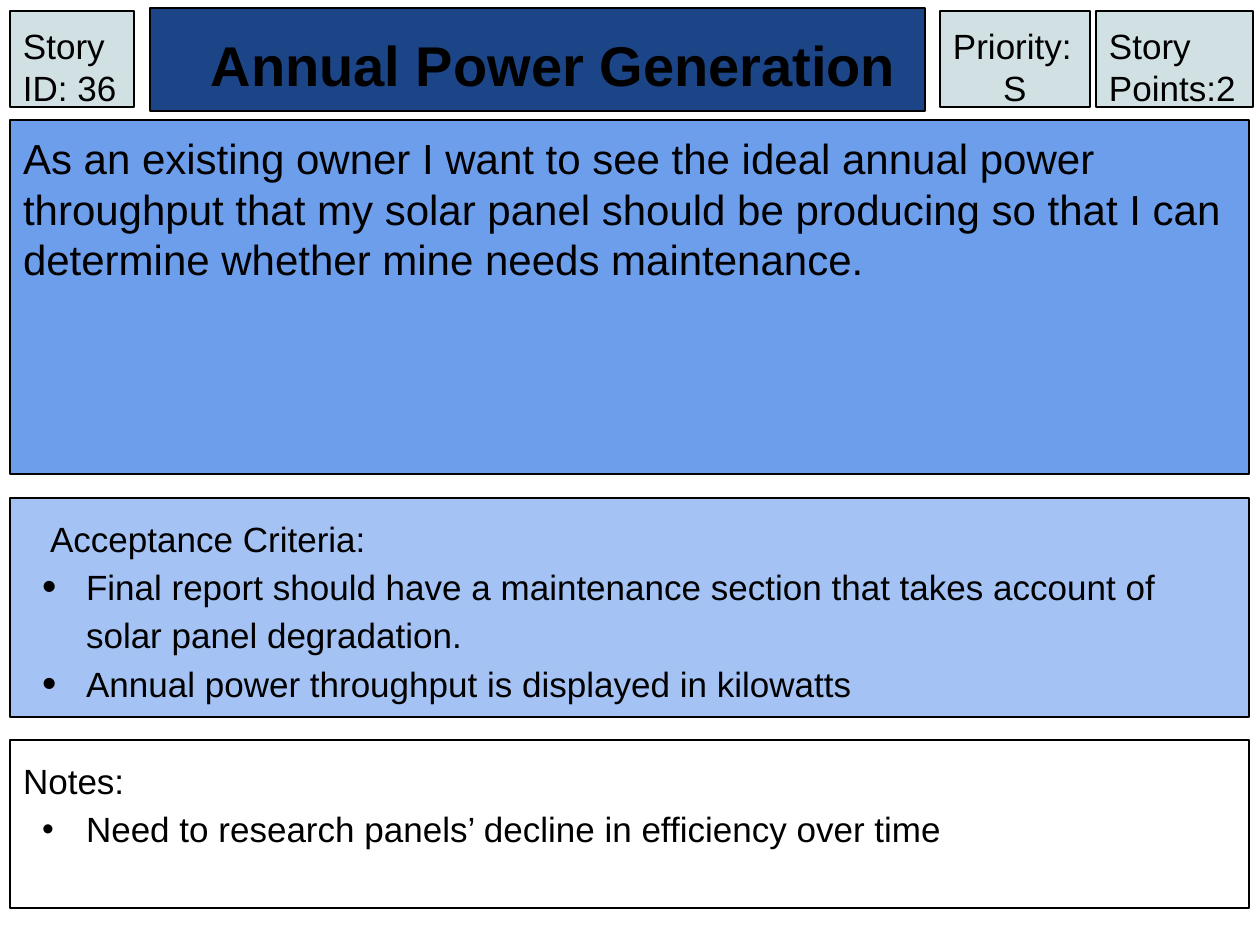
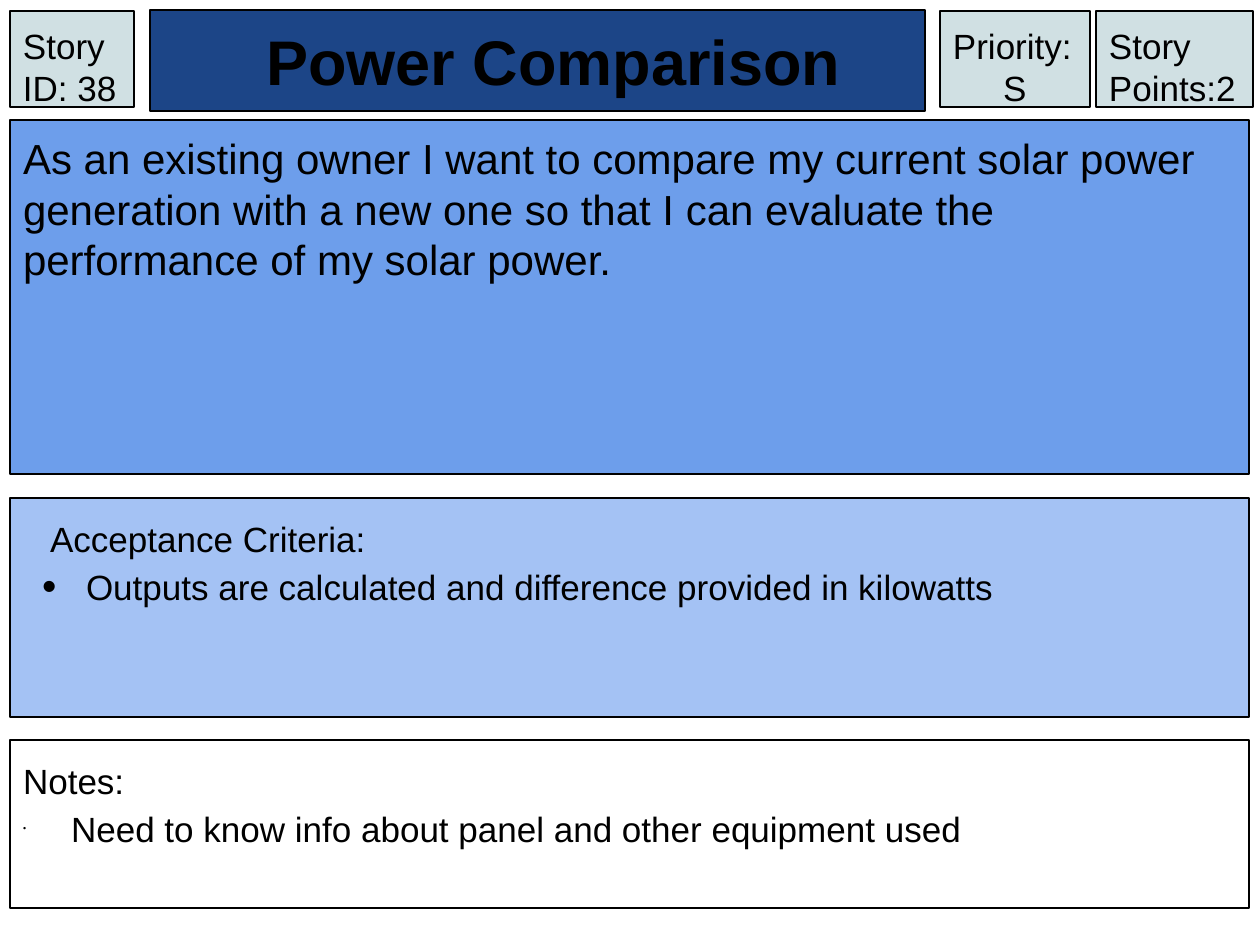
import pptx
import pptx.dml.color
import pptx.enum.shapes
import pptx.enum.text
import pptx.oxml.ns
import pptx.util
import lxml.etree

PX = 914400 / 126
INSET = 13
BLACK = "000000"
TITLE_FILL = "1C4587"
STORY_FILL = "6D9EEB"
CRITERIA_FILL = "A4C2F4"
BADGE_FILL = "D0E0E3"
CENTER = pptx.enum.text.PP_ALIGN.CENTER
BOTTOM = pptx.enum.text.MSO_ANCHOR.BOTTOM
PANEL_LEFT, PANEL_WIDTH = 10, 1239
BADGE_TOP, BADGE_HEIGHT = 11, 96
TITLE_BOTTOM = 111


def px(length):
    """Turn pixels into EMU."""
    return pptx.util.Emu(round(length * PX))


def color(hex_code):
    """Turn a hex string into a colour."""
    return pptx.dml.color.RGBColor.from_string(hex_code)


def add_panel(slide, left, top, width, height, fill=None, anchor=pptx.enum.text.MSO_ANCHOR.TOP):
    """Add an outlined rectangle and return its text frame."""
    panel = slide.shapes.add_shape(
        pptx.enum.shapes.MSO_SHAPE.RECTANGLE, px(left), px(top), px(width), px(height))
    panel.shadow.inherit = False
    if fill:
        panel.fill.solid()
        panel.fill.fore_color.rgb = color(fill)
    else:
        panel.fill.background()
    panel.line.color.rgb = color(BLACK)
    panel.line.width = pptx.util.Pt(0.75)
    frame = panel.text_frame
    frame.word_wrap = True
    frame.vertical_anchor = anchor
    frame.margin_left = frame.margin_right = px(INSET)
    frame.margin_top = frame.margin_bottom = px(INSET)
    return frame


def add_bullet(properties, percent):
    """Give a paragraph a round black bullet of a relative size."""
    def child(parent, tag, **attributes):
        return lxml.etree.SubElement(parent, pptx.oxml.ns.qn(tag), **attributes)

    child(child(properties, "a:buClr"), "a:srgbClr", val=BLACK)
    child(properties, "a:buSzPct", val=str(percent * 1000))
    child(properties, "a:buFont", typeface="Arial")
    child(properties, "a:buChar", char="•")


def write(frame, text, size=20, bold=False, align=pptx.enum.text.PP_ALIGN.LEFT,
          margin=0, indent=0, spacing=None, bullet=None):
    """Write one paragraph, filling the empty first one before adding more."""
    first = frame.paragraphs[0]
    paragraph = frame.add_paragraph() if first.runs else first
    properties = paragraph._p.get_or_add_pPr()
    properties.set("marL", str(px(margin)))
    properties.set("indent", str(px(indent)))
    if bullet:
        add_bullet(properties, bullet)
    paragraph.alignment = align
    if spacing:
        paragraph.line_spacing = spacing
    run = paragraph.add_run()
    run.text = text
    run.font.name = "Arial"
    run.font.size = pptx.util.Pt(size)
    run.font.bold = bold
    run.font.color.rgb = color(BLACK)


def add_badge(slide, left, width, label, value=None):
    """Add a small header box with an optional centred value below its label."""
    frame = add_panel(slide, left, BADGE_TOP, width, BADGE_HEIGHT, BADGE_FILL)
    write(frame, label)
    if value:
        write(frame, value, align=CENTER)


def add_list(slide, top, height, heading, heading_indent, items, item_indent, bullet, fill=None):
    """Add a full-width panel with a heading and bulleted items."""
    frame = add_panel(slide, PANEL_LEFT, top, PANEL_WIDTH, height, fill)
    write(frame, heading, margin=48, indent=heading_indent, spacing=1.15)
    margin, indent = item_indent
    for item in items:
        write(frame, item, margin=margin, indent=indent, spacing=1.15, bullet=bullet)


def add_story_card(deck, story_id, title, title_size, title_top, story, criteria,
                   notes, note_indent, note_bullet):
    """Add one slide holding a user story."""
    slide = deck.slides.add_slide(deck.slide_layouts[6])
    story_frame = add_panel(slide, PANEL_LEFT, 120, PANEL_WIDTH, 354, STORY_FILL)
    write(story_frame, story, size=24)
    title_frame = add_panel(slide, 150, title_top, 775, TITLE_BOTTOM - title_top,
                            TITLE_FILL, BOTTOM)
    write(title_frame, title, size=title_size, bold=True, align=CENTER, indent=32)
    add_list(slide, 498, 219, "Acceptance Criteria:", -21, criteria, (63, -44), 117,
             CRITERIA_FILL)
    add_list(slide, 740, 168, "Notes:", -48, notes, note_indent, note_bullet)
    add_badge(slide, 1096, 157, "Story Points:2")
    add_badge(slide, 940, 150, "Priority:", "S")
    add_badge(slide, PANEL_LEFT, 124, f"Story ID: {story_id}")


def main():
    """Build and save the story cards."""
    deck = pptx.Presentation()
    deck.slide_width, deck.slide_height = px(1260), px(945)
    add_story_card(
        deck, 36, "Annual Power Generation", 32, 8,
        "As an existing owner I want to see the ideal annual power throughput that my solar "
        "panel should be producing so that I can determine whether mine needs maintenance.",
        ["Final report should have a maintenance section that takes account of solar panel "
         "degradation.",
         "Annual power throughput is displayed in kilowatts"],
        ["Need to research panels’ decline in efficiency over time"], (63, -44), 96)
    add_story_card(
        deck, 38, "Power Comparison", 36, 10,
        "As an existing owner I want to compare my current solar power generation with a new "
        "one so that I can evaluate the performance of my solar power.",
        ["Outputs are calculated and difference provided in kilowatts"],
        ["Need to know info about panel and other equipment used"], (48, -48), 25)
    deck.save("out.pptx")


if __name__ == "__main__":
    main()
